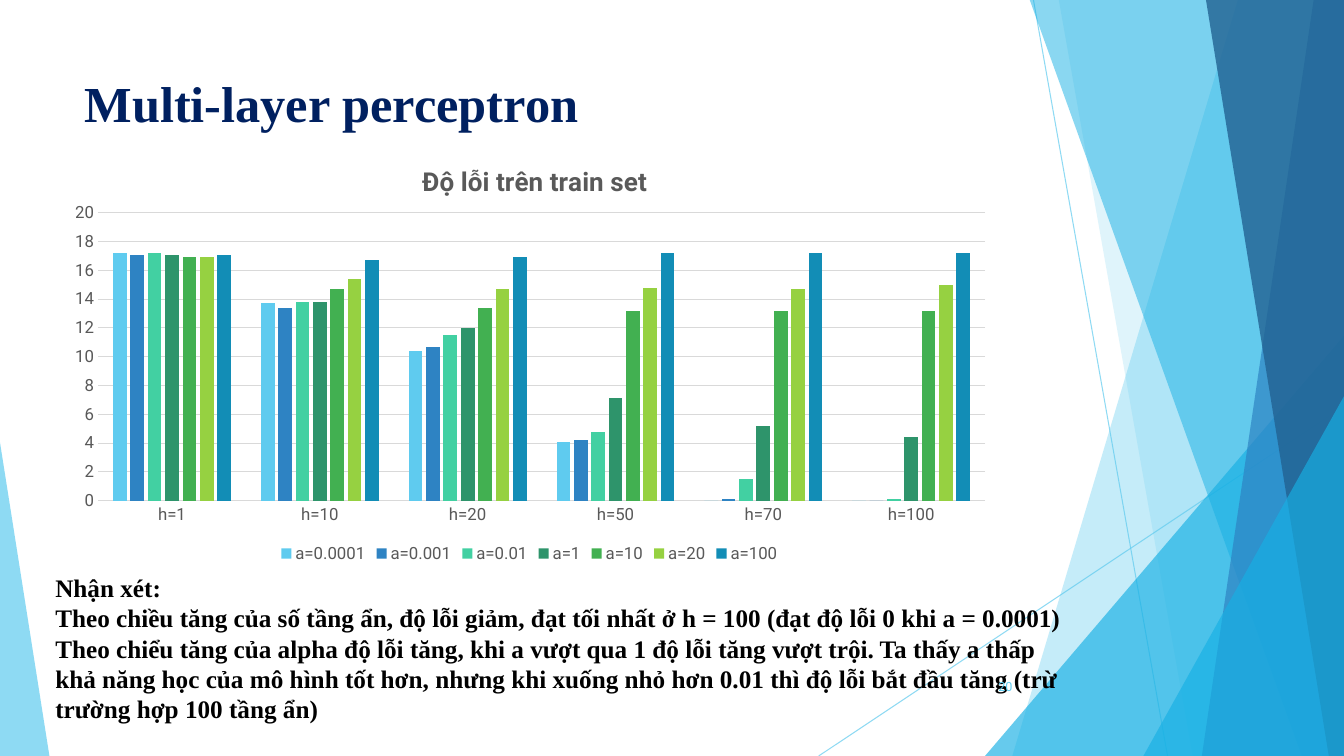
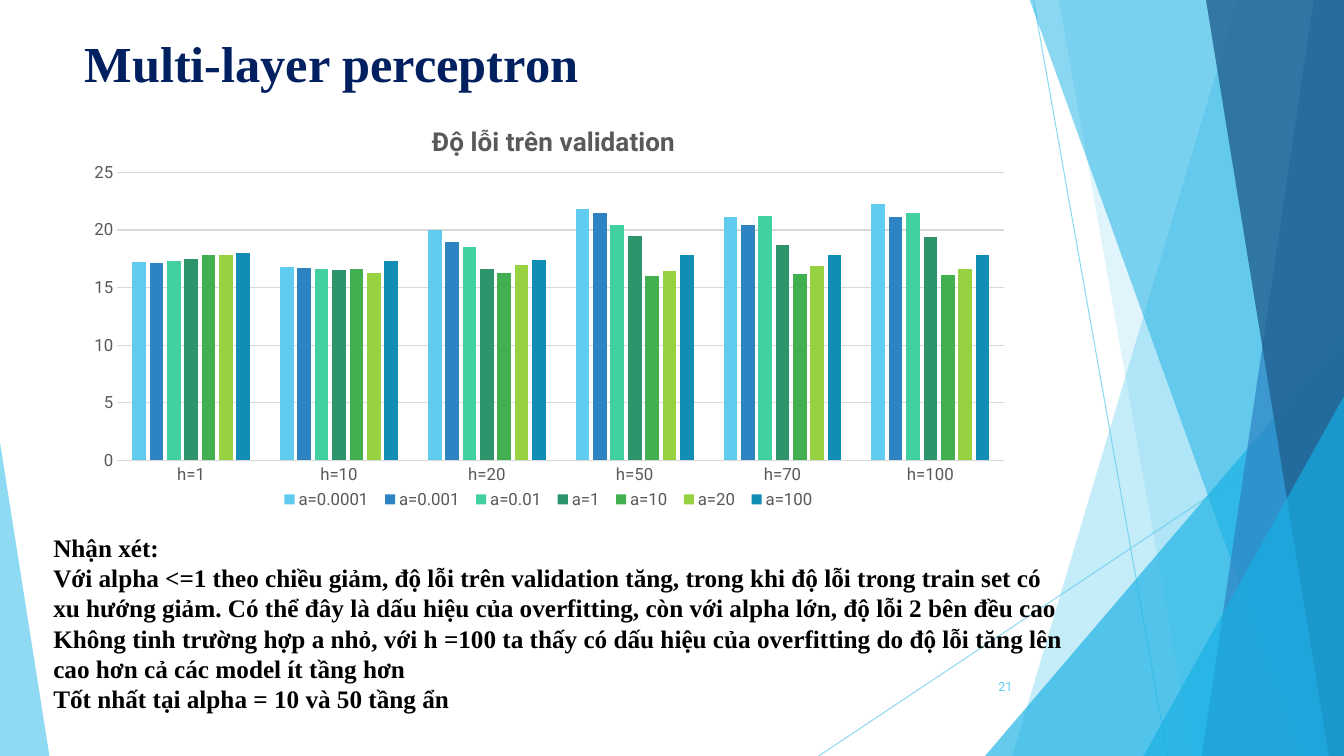
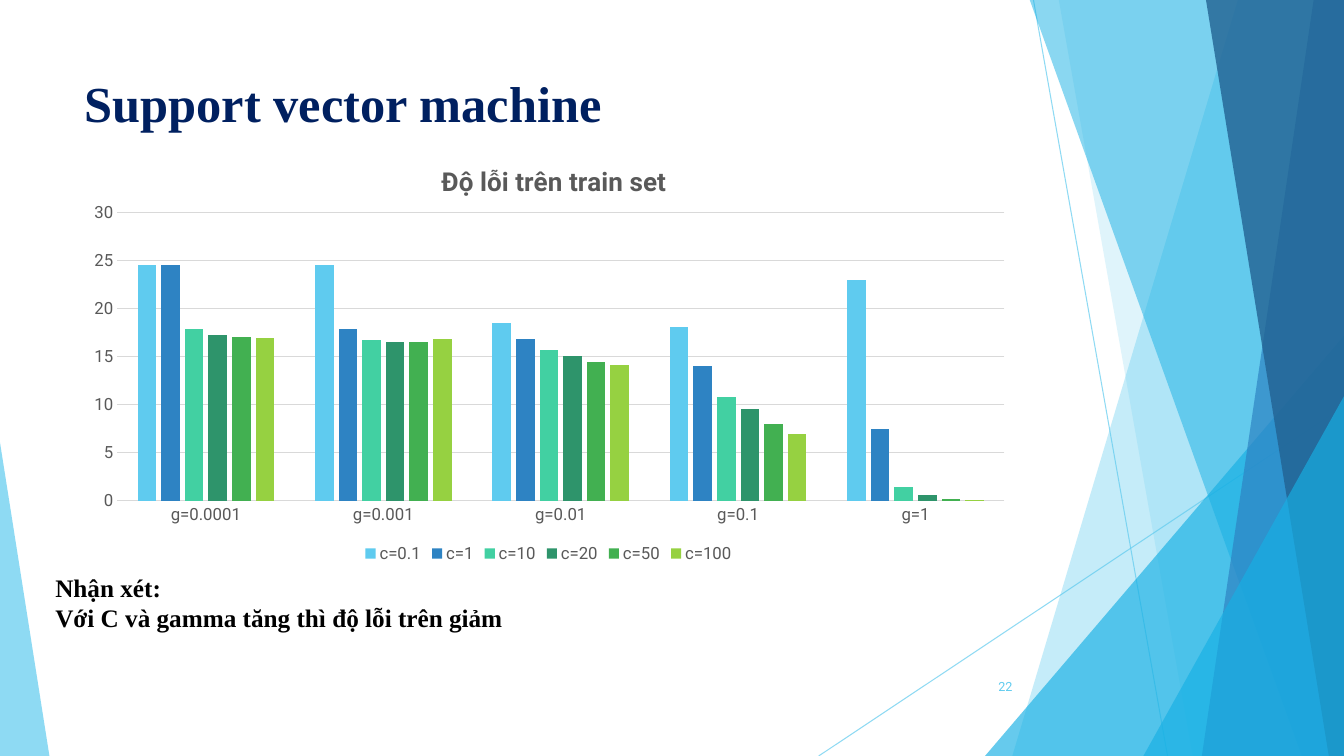
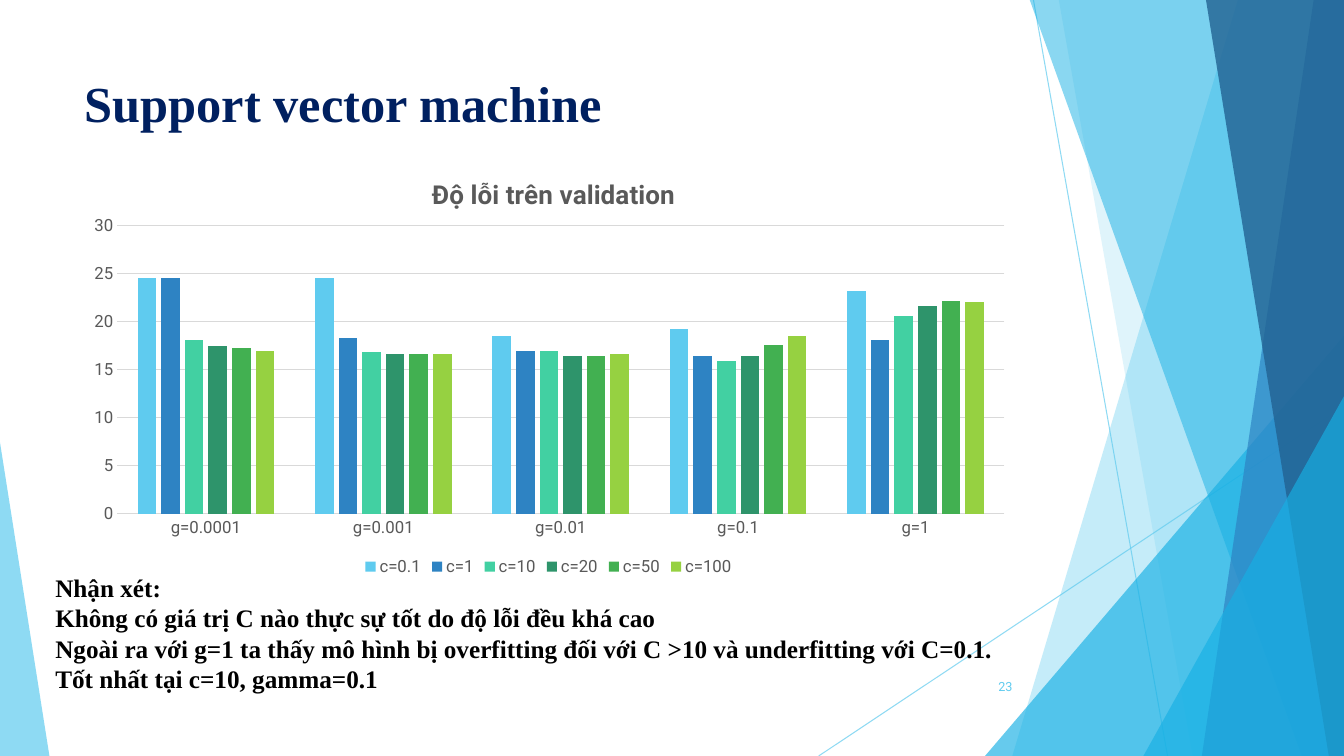
from lxml import etree
from pptx import Presentation
from pptx.chart.data import CategoryChartData
from pptx.dml.color import RGBColor
from pptx.enum.chart import XL_CHART_TYPE as ChartType, XL_LEGEND_POSITION as LegendPosition
from pptx.enum.chart import XL_TICK_MARK as TickMark
from pptx.enum.shapes import MSO_CONNECTOR as Connector, MSO_SHAPE as Shape
from pptx.enum.text import MSO_ANCHOR as Anchor, PP_ALIGN as Align
from pptx.oxml.ns import qn
from pptx.util import Inches, Pt

# Shared style
COLORS = {
    "sky": "5FCBEF", "azure": "17B0E4", "blue": "2E83C3", "deep": "226292",
    "navy": "002060", "black": "000000", "gray": "595959", "grid": "D9D9D9",
    "mint": "42D0A2", "pine": "2E946B", "green": "42B051", "lime": "96D141", "teal": "128DB6",
}
SERIES_COLORS = ["sky", "blue", "mint", "pine", "green", "lime", "teal"]
SERIF, SANS = "Times New Roman", "Roboto"
WIDTH, HEIGHT = 13.33, 7.5
TITLE_LEFT, BODY_WIDTH, CHART_HEIGHT = 0.74, 9.4, 4.24

# Background, from back to front
RAYS = [((10.25, 0), (11.58, HEIGHT)), ((WIDTH, 4.03), (8.12, HEIGHT))]
FACETS = [  # ("band", top x, bottom x, ...) or ("triangle", box, apex, ...), then colour, opacity
    ("band", 12.28, 10.04, "sky", 36),
    ("band", 10.5, 11.83, "sky", 20),
    ("triangle", (9.77, 3.33, 3.56, 4.17), 1, "azure", 66),
    ("band", 10.21, 12.91, "azure", 50),
    ("band", 13.03, 11.92, "blue", 70),
    ("band", 11.96, 13.18, "deep", 80),
    ("triangle", (11.34, 3.93, 1.99, 3.57), 1, "azure", 66),
    ("triangle", (0, 4.39, 0.49, 3.11), 0, "sky", 70),
]

# Content
HIDDEN_UNITS = ["h=1", "h=10", "h=20", "h=50", "h=70", "h=100"]
ALPHAS = ["a=0.0001", "a=0.001", "a=0.01", "a=1", "a=10", "a=20", "a=100"]
GAMMAS = ["g=0.0001", "g=0.001", "g=0.01", "g=0.1", "g=1"]
PENALTIES = ["c=0.1", "c=1", "c=10", "c=20", "c=50", "c=100"]
TRAIN = ("Độ lỗi trên train set", 0.382)  # chart title and its left edge
VALIDATION = ("Độ lỗi trên validation", 0.372)

PAGES = [
    dict(
        title="Multi-layer perceptron", title_top=0.67,
        chart=dict(
            left=0.55, top=1.39, heading=TRAIN, categories=HIDDEN_UNITS, names=ALPHAS,
            top_value=20, step=2,
            rows=[
                [17.2, 13.7, 10.4, 4.1, 0, 0],
                [17.1, 13.4, 10.7, 4.2, 0.1, 0],
                [17.2, 13.8, 11.5, 4.8, 1.5, 0.1],
                [17.1, 13.8, 12, 7.1, 5.2, 4.4],
                [16.9, 14.7, 13.4, 13.2, 13.2, 13.2],
                [16.9, 15.4, 14.7, 14.8, 14.7, 15],
                [17.1, 16.7, 16.9, 17.2, 17.2, 17.2],
            ]),
        remarks_box=(0.45, 5.63, 10.32, 1.62),
        remarks=[
            "Theo chiều tăng của số tầng ẩn, độ lỗi giảm, đạt tối nhất ở h = 100 "
            "(đạt độ lỗi 0 khi a = 0.0001)",
            "Theo chiểu tăng của alpha độ lỗi tăng, khi a vượt qua 1 độ lỗi tăng vượt trội. "
            "Ta thấy a thấp khả năng học của mô hình tốt hơn, nhưng khi xuống nhỏ hơn 0.01 "
            "thì độ lỗi bắt đầu tăng (trừ trường hợp 100 tầng ẩn)",
        ]),
    dict(
        title="Multi-layer perceptron", title_top=0.27,
        chart=dict(
            left=TITLE_LEFT, top=0.99, heading=VALIDATION, categories=HIDDEN_UNITS, names=ALPHAS,
            top_value=25, step=5, legend_frame=(0.21, 0.9, 0.58, 0.07),
            rows=[
                [17.2, 16.8, 20, 21.8, 21.1, 22.3],
                [17.1, 16.7, 19, 21.5, 20.4, 21.1],
                [17.3, 16.6, 18.5, 20.4, 21.2, 21.5],
                [17.5, 16.5, 16.6, 19.5, 18.7, 19.4],
                [17.8, 16.6, 16.3, 16, 16.2, 16.1],
                [17.8, 16.3, 17, 16.4, 16.9, 16.6],
                [18, 17.3, 17.4, 17.8, 17.8, 17.8],
            ]),
        remarks_box=(0.43, 5.23, 10.32, 1.92),
        remarks=[
            "Với alpha <=1 theo chiều giảm, độ lỗi trên validation tăng, trong khi độ lỗi trong "
            "train set có xu hướng giảm. Có thể đây là dấu hiệu của overfitting, còn với alpha "
            "lớn, độ lỗi 2 bên đều cao",
            "Không tinh trường hợp a nhỏ, với h =100 ta thấy có dấu hiệu của overfitting do độ "
            "lỗi tăng lên cao hơn cả các model ít tầng hơn",
            "Tốt nhất tại alpha = 10 và 50 tầng ẩn",
        ]),
    dict(
        title="Support vector machine", title_top=0.67,
        chart=dict(
            left=TITLE_LEFT, top=1.39, heading=TRAIN, categories=GAMMAS, names=PENALTIES,
            top_value=30, step=5,
            rows=[
                [24.6, 24.6, 18.5, 18.1, 23],
                [24.6, 17.9, 16.8, 14, 7.5],
                [17.9, 16.7, 15.7, 10.8, 1.4],
                [17.3, 16.5, 15.1, 9.6, 0.6],
                [17.1, 16.5, 14.4, 8, 0.2],
                [17, 16.8, 14.1, 7, 0.1],
            ]),
        remarks_box=(0.45, 5.63, 10.32, 0.71),
        remarks=["Với C và gamma tăng thì độ lỗi trên giảm"]),
    dict(
        title="Support vector machine", title_top=0.67,
        chart=dict(
            left=TITLE_LEFT, top=1.52, heading=VALIDATION, categories=GAMMAS, names=PENALTIES,
            top_value=30, step=5,
            rows=[
                [24.6, 24.6, 18.5, 19.3, 23.2],
                [24.6, 18.3, 17, 16.4, 18.1],
                [18.1, 16.9, 17, 15.9, 20.6],
                [17.5, 16.6, 16.4, 16.4, 21.6],
                [17.3, 16.6, 16.4, 17.6, 22.2],
                [17, 16.7, 16.7, 18.5, 22.1],
            ]),
        remarks_box=(0.45, 5.63, 10.32, 1.62),
        remarks=[
            "Không có giá trị C nào thực sự tốt do độ lỗi đều khá cao",
            "Ngoài ra với g=1 ta thấy mô hình bị overfitting đối với C >10 và underfitting với C=0.1.",
            "Tốt nhất tại c=10, gamma=0.1",
        ]),
]
FIRST_NUMBER = 20


def rgb(name):
    return RGBColor.from_string(COLORS[name])


def inches(values):
    return [Inches(value) for value in values]


def set_opacity(shape, percent):
    color = next(shape._element.spPr.iter(qn("a:srgbClr")))
    etree.SubElement(color, qn("a:alpha"), val=str(percent * 1000))


def set_font(font, size, color, name=SANS, bold=False):
    font.size, font.name, font.bold = Pt(size), name, bold
    font.color.rgb = rgb(color)


def add_text(page, frame, lines, align=Align.LEFT, anchor=Anchor.TOP, **font):
    box = page.shapes.add_textbox(*inches(frame))
    text = box.text_frame
    text.word_wrap, text.vertical_anchor = True, anchor
    for index, line in enumerate(lines):
        para = text.add_paragraph() if index else text.paragraphs[0]
        para.alignment = align
        span = para.add_run()
        span.text = line
        set_font(span.font, **font)


def add_ray(page, start, end):
    ray = page.shapes.add_connector(Connector.STRAIGHT, *inches(start + end))
    ray.line.color.rgb, ray.line.width = rgb("sky"), Pt(0.75)
    set_opacity(ray, 70)
    etree.SubElement(ray._element.spPr, qn("a:effectLst"))


def make_band(page, top_x, bottom_x):
    """Outline that reaches from a slanted left edge to the slide's right edge."""
    outline = page.shapes.build_freeform(Inches(top_x), Inches(-0.01))
    corners = [(WIDTH, -0.01), (WIDTH, HEIGHT), (bottom_x, HEIGHT)]
    outline.add_line_segments([inches(corner) for corner in corners], close=True)
    return outline.convert_to_shape()


def make_triangle(page, frame, apex):
    triangle = page.shapes.add_shape(Shape.ISOSCELES_TRIANGLE, *inches(frame))
    triangle.adjustments[0] = apex
    return triangle


def add_background(page):
    for start, end in RAYS:
        add_ray(page, start, end)
    for kind, first, second, color, opacity in FACETS:
        make = make_band if kind == "band" else make_triangle
        facet = make(page, first, second)
        facet.shadow.inherit = False
        facet.fill.solid()
        facet.fill.fore_color.rgb = rgb(color)
        facet.line.fill.background()
        set_opacity(facet, opacity)


def set_layout(parent, after=None, inner=False, **position):
    """Place a chart part by fractions of the chart's size."""
    for old in parent.findall(qn("c:layout")):
        parent.remove(old)
    layout = etree.Element(qn("c:layout"))
    manual = etree.SubElement(layout, qn("c:manualLayout"))
    values = [("layoutTarget", "inner")] if inner else []
    values += [(side + "Mode", "edge") for side in "xy"]
    values += [(key, str(value)) for key, value in position.items()]
    for tag, value in values:
        etree.SubElement(manual, qn("c:" + tag), val=value)
    if after is None:
        parent.insert(0, layout)
    else:
        parent.find(qn(after)).addnext(layout)


def style_axis(axis):
    axis.major_tick_mark = axis.minor_tick_mark = TickMark.NONE
    set_font(axis.tick_labels.font, 12, "gray")


def style_line(line):
    line.color.rgb, line.width = rgb("grid"), Pt(0.75)


def add_column_chart(page, left, top, heading, categories, names, rows, top_value, step,
                     legend_frame=None):
    data = CategoryChartData()
    data.categories = categories
    for name, row in zip(names, rows):
        data.add_series(name, row)
    frame = inches((left, top, BODY_WIDTH, CHART_HEIGHT))
    chart = page.shapes.add_chart(ChartType.COLUMN_CLUSTERED, *frame, data).chart
    set_font(chart.font, 10, "black")

    # Columns
    plot = chart.plots[0]
    plot.gap_width, plot.overlap, plot.vary_by_categories = 219, -27, False
    for series, color in zip(plot.series, SERIES_COLORS):
        series.format.fill.solid()
        series.format.fill.fore_color.rgb = rgb(color)
        series.invert_if_negative = False
    set_layout(chart._chartSpace.chart.plotArea, inner=True, x=0.045, y=0.17, w=0.936, h=0.674)

    # Axes
    style_axis(chart.category_axis)
    style_line(chart.category_axis.format.line)
    axis = chart.value_axis
    style_axis(axis)
    axis.format.line.fill.background()
    axis.has_major_gridlines = True
    style_line(axis.major_gridlines.format.line)
    axis.minimum_scale, axis.maximum_scale, axis.major_unit = 0, top_value, step

    # Heading
    label, label_left = heading
    chart.has_title = True
    span = chart.chart_title.text_frame.paragraphs[0].add_run()
    span.text = label
    set_font(span.font, 18.6, "gray", bold=True)
    set_layout(chart.chart_title._element, after="c:tx", x=label_left, y=0.045)

    # Legend
    chart.has_legend = True
    legend = chart.legend
    legend.position, legend.include_in_layout = LegendPosition.BOTTOM, False
    set_font(legend.font, 12, "gray")
    if legend_frame:
        set_layout(legend._element, after="c:legendPos", **dict(zip("xywh", legend_frame)))


def main():
    deck = Presentation()
    deck.slide_width, deck.slide_height = Inches(WIDTH), Inches(HEIGHT)
    for number, content in enumerate(PAGES, FIRST_NUMBER):
        page = deck.slides.add_slide(deck.slide_layouts[6])
        add_background(page)
        add_text(page, (TITLE_LEFT, content["title_top"], BODY_WIDTH, 1.44), [content["title"]],
                 size=36, color="navy", name=SERIF, bold=True)
        add_column_chart(page, **content["chart"])
        add_text(page, content["remarks_box"], ["Nhận xét:"] + content["remarks"],
                 size=18, color="black", name=SERIF, bold=True)
        add_text(page, (9.39, 6.61, 0.75, 0.4), [str(number)], align=Align.RIGHT,
                 anchor=Anchor.MIDDLE, size=9, color="sky")
    deck.save("out.pptx")


if __name__ == "__main__":
    main()
